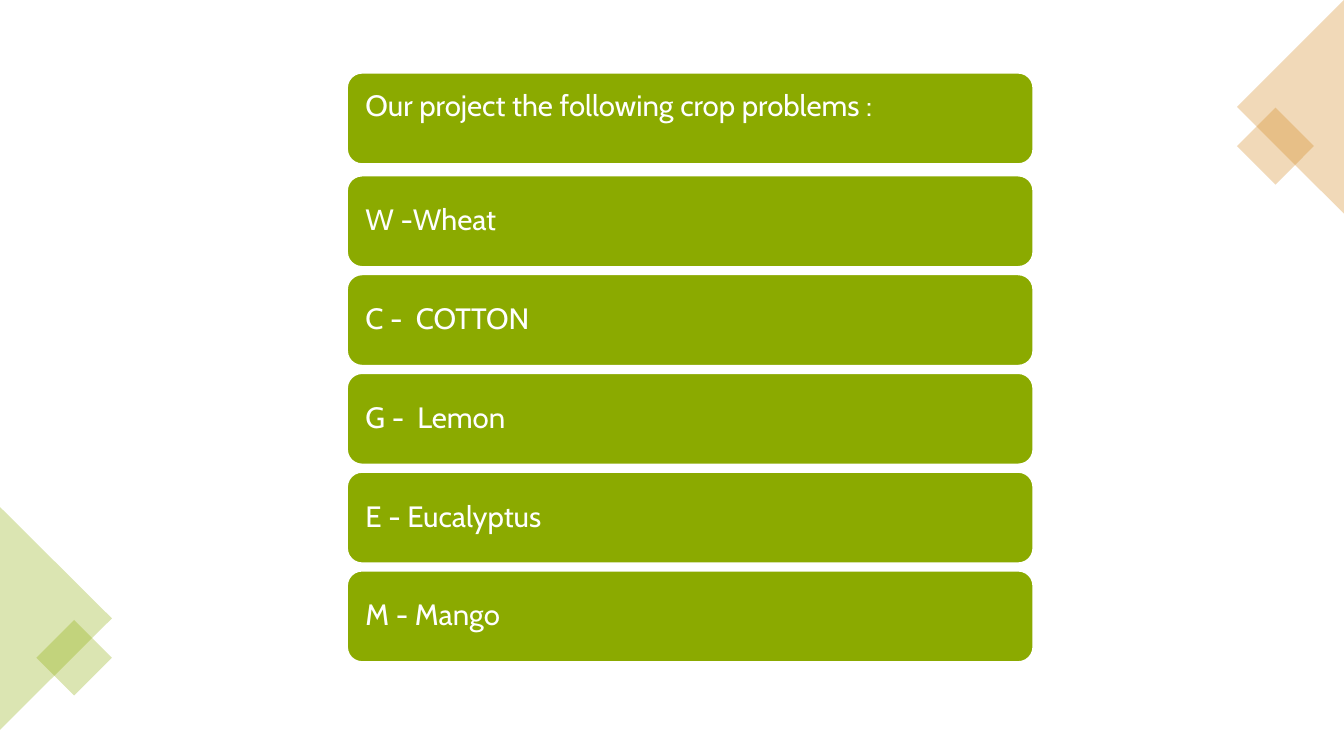
from lxml.etree import SubElement
from pptx import Presentation
from pptx.dml.color import RGBColor
from pptx.enum.shapes import MSO_SHAPE as Shape
from pptx.enum.text import MSO_ANCHOR as Anchor, PP_ALIGN as Align
from pptx.oxml.ns import qn
from pptx.util import Inches, Pt

HEADING = "Our project the following crop problems :"
CROPS = ["W -Wheat", "C -  COTTON", "G -  Lemon", "E - Eucalyptus", "M - Mango"]

GREEN, ORANGE, WHITE = "8BAA00", "D18316", "FFFFFF"
CORNERS = [  # preset, left, top, width, height, rotation, colour
    (Shape.ISOSCELES_TRIANGLE, -0.55, 5.58, 2.21, 1.11, 90, GREEN),
    (Shape.RECTANGLE, 0.47, 6.26, 0.53, 0.53, 45, GREEN),
    (Shape.RECTANGLE, 12.38, 1.18, 0.54, 0.54, 45, ORANGE),
    (Shape.ISOSCELES_TRIANGLE, 11.74, 0.53, 2.12, 1.06, 270, ORANGE),
]
CORNER_OPACITY = 30

BAR_LEFT, BAR_WIDTH, BAR_HEIGHT = 3.44, 6.81, 0.91
HEADING_TOP, CROPS_TOP, CROP_PITCH = 0.72, 1.74, 0.98
BAR_INSET = 0.14
FRAME_FORMAT = {"word_wrap": True, **{
    f"margin_{side}": Inches(BAR_INSET) for side in ("left", "top", "right", "bottom")}}
PARAGRAPH_FORMAT = {"alignment": Align.LEFT, "line_spacing": 0.9}
FONT_FORMAT = {"name": "Cabin", "size": Pt(21)}


def color(value):
    return RGBColor.from_string(value)


def apply(target, settings):
    for name, value in settings.items():
        setattr(target, name, value)


def add_filled(slide, preset, left, top, width, height, fill):
    shape = slide.shapes.add_shape(preset, *map(Inches, (left, top, width, height)))
    shape.shadow.inherit = False
    shape.fill.solid()
    shape.fill.fore_color.rgb = color(fill)
    return shape


def add_corner(slide, preset, left, top, width, height, rotation, fill):
    corner = add_filled(slide, preset, left, top, width, height, fill)
    corner.rotation = rotation
    corner.line.fill.background()
    tint = corner.fill._xPr.find(f"{qn('a:solidFill')}/{qn('a:srgbClr')}")
    SubElement(tint, qn("a:alpha"), val=str(CORNER_OPACITY * 1000))


def add_bar(slide, top, wording, anchor):
    bar = add_filled(slide, Shape.ROUNDED_RECTANGLE, BAR_LEFT, top,
                     BAR_WIDTH, BAR_HEIGHT, GREEN)
    bar.line.color.rgb = color(WHITE)
    bar.line.width = Pt(1.5)
    frame = bar.text_frame
    apply(frame, {**FRAME_FORMAT, "vertical_anchor": anchor})
    paragraph = frame.paragraphs[0]
    apply(paragraph, PARAGRAPH_FORMAT)
    run = paragraph.add_run()
    run.text = wording
    apply(run.font, FONT_FORMAT)
    run.font.color.rgb = color(WHITE)


def main():
    deck = Presentation()
    deck.slide_width, deck.slide_height = Inches(13.33), Inches(7.5)
    slide = deck.slides.add_slide(deck.slide_layouts[6])
    for corner in CORNERS:
        add_corner(slide, *corner)
    add_bar(slide, HEADING_TOP, HEADING, Anchor.TOP)
    for row, crop in enumerate(CROPS):
        add_bar(slide, CROPS_TOP + row * CROP_PITCH, crop, Anchor.MIDDLE)
    deck.save("out.pptx")


if __name__ == "__main__":
    main()
